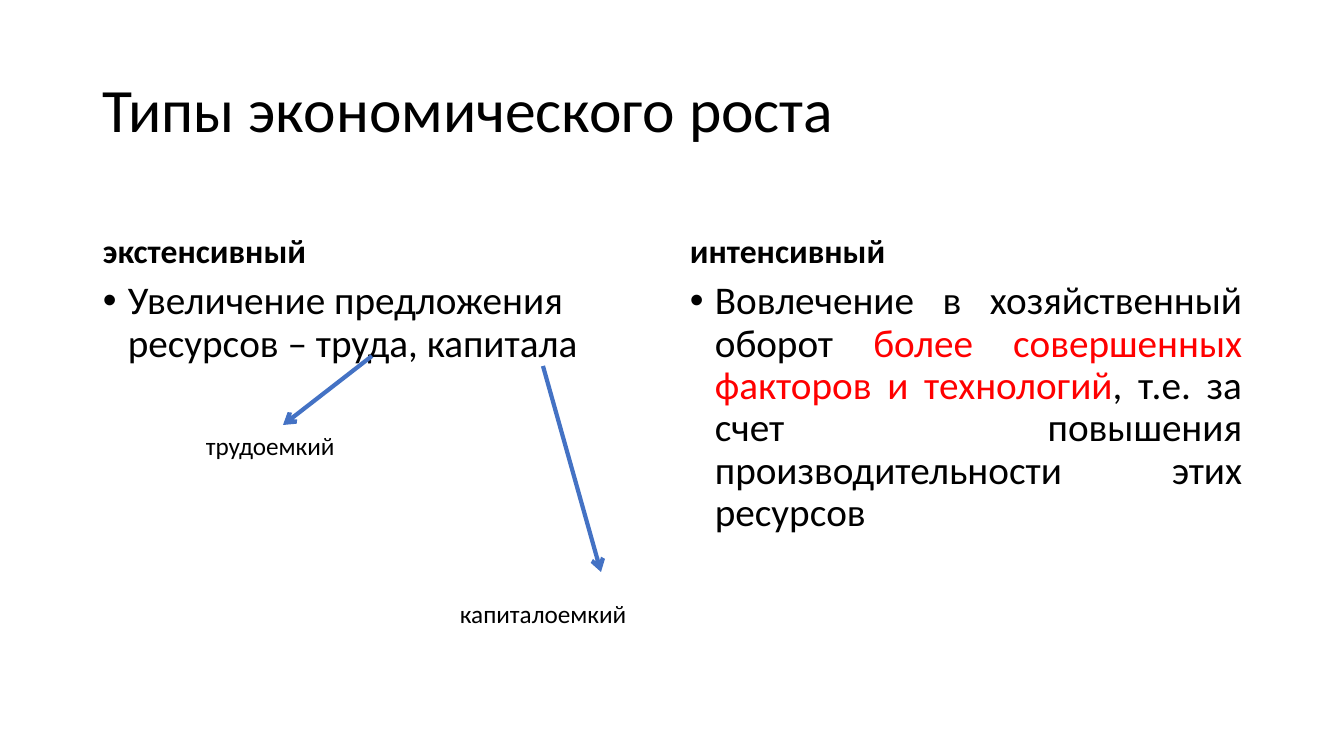
from lxml import etree
from pptx import Presentation
from pptx.dml.color import RGBColor
from pptx.enum.shapes import MSO_CONNECTOR
from pptx.enum.text import MSO_ANCHOR, PP_ALIGN
from pptx.oxml.ns import qn
from pptx.util import Pt

TOP, MIDDLE, BOTTOM = MSO_ANCHOR.TOP, MSO_ANCHOR.MIDDLE, MSO_ANCHOR.BOTTOM
LEFT, JUSTIFY = PP_ALIGN.LEFT, PP_ALIGN.JUSTIFY
STRAIGHT = MSO_CONNECTOR.STRAIGHT

FONT = "Calibri"
COLORS = {"text": "000000", "accent": "FF0000", "arrow": "4472C4"}

TITLE = "Типы экономического роста"
GROWTH_TYPES = [
    {
        "heading": "экстенсивный",
        "left": 93,
        "width": 569,
        "align": LEFT,
        "description": [("Увеличение предложения ресурсов – труда, капитала", "text")],
    },
    {
        "heading": "интенсивный",
        "left": 680,
        "width": 572,
        "align": JUSTIFY,
        "description": [
            ("Вовлечение в хозяйственный оборот ", "text"),
            ("более совершенных факторов и технологий", "accent"),
            (", т.е. за счет повышения производительности этих ресурсов", "text"),
        ],
    },
]
SUBTYPES = [
    {"name": "трудоемкий", "box": (196, 425, 215, 40), "arrow": (372, 356, 283, 425)},
    {"name": "капиталоемкий", "box": (450, 593, 207, 40), "arrow": (543, 366, 601, 572)},
]

SLIDE_WIDTH, SLIDE_HEIGHT = 1344, 756
TITLE_BOX = (93, 40, 1159, 146)
HEADING_TOP, HEADING_HEIGHT = 185, 91
DESCRIPTION_TOP, DESCRIPTION_HEIGHT = HEADING_TOP + HEADING_HEIGHT, 406
BULLET_INDENT = 25


def px(length):
    return round(length * 914400 / 100.8)


def add_text(slide, box, runs, size, anchor=TOP, align=LEFT, bold=False,
             spacing=0.9, bullet=False):
    frame = slide.shapes.add_textbox(*map(px, box)).text_frame
    frame.word_wrap = True
    frame.vertical_anchor = anchor
    paragraph = frame.paragraphs[0]
    paragraph.alignment = align
    paragraph.line_spacing = spacing
    if bullet:
        properties = paragraph._p.get_or_add_pPr()
        properties.set("marL", str(px(BULLET_INDENT)))
        properties.set("indent", str(-px(BULLET_INDENT)))
        etree.SubElement(properties, qn("a:buFont"), typeface="Arial")
        etree.SubElement(properties, qn("a:buChar"), char="•")
    for text, color in runs:
        run = paragraph.add_run()
        run.text = text
        run.font.name = FONT
        run.font.size = Pt(size)
        run.font.bold = bold
        run.font.color.rgb = RGBColor.from_string(COLORS[color])


def add_arrow(slide, ends):
    arrow = slide.shapes.add_connector(STRAIGHT, *map(px, ends))
    arrow.line.color.rgb = RGBColor.from_string(COLORS["arrow"])
    arrow.line.width = Pt(3)
    etree.SubElement(arrow.line._get_or_add_ln(), qn("a:tailEnd"), type="arrow")
    etree.SubElement(arrow._element.spPr, qn("a:effectLst"))


def main():
    presentation = Presentation()
    presentation.slide_width = px(SLIDE_WIDTH)
    presentation.slide_height = px(SLIDE_HEIGHT)
    slide = presentation.slides.add_slide(presentation.slide_layouts[6])

    add_text(slide, TITLE_BOX, [(TITLE, "text")], 44, anchor=MIDDLE)

    for growth in GROWTH_TYPES:
        left, width = growth["left"], growth["width"]
        add_text(slide, (left, HEADING_TOP, width, HEADING_HEIGHT),
                 [(growth["heading"], "text")], 24, anchor=BOTTOM, bold=True)
        add_text(slide, (left, DESCRIPTION_TOP, width, DESCRIPTION_HEIGHT),
                 growth["description"], 28, align=growth["align"], bullet=True)

    for subtype in SUBTYPES:
        add_arrow(slide, subtype["arrow"])
        add_text(slide, subtype["box"], [(subtype["name"], "text")], 18, spacing=1.0)

    presentation.save("out.pptx")


if __name__ == "__main__":
    main()
